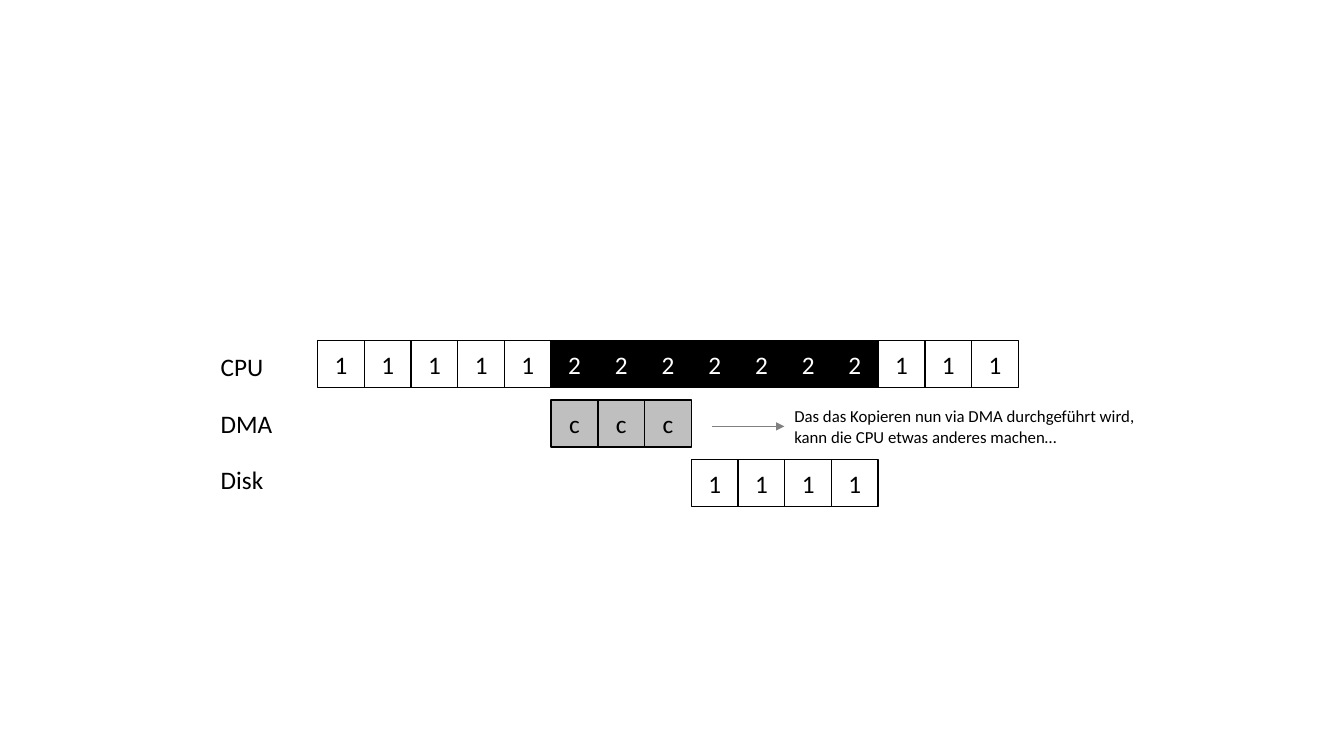
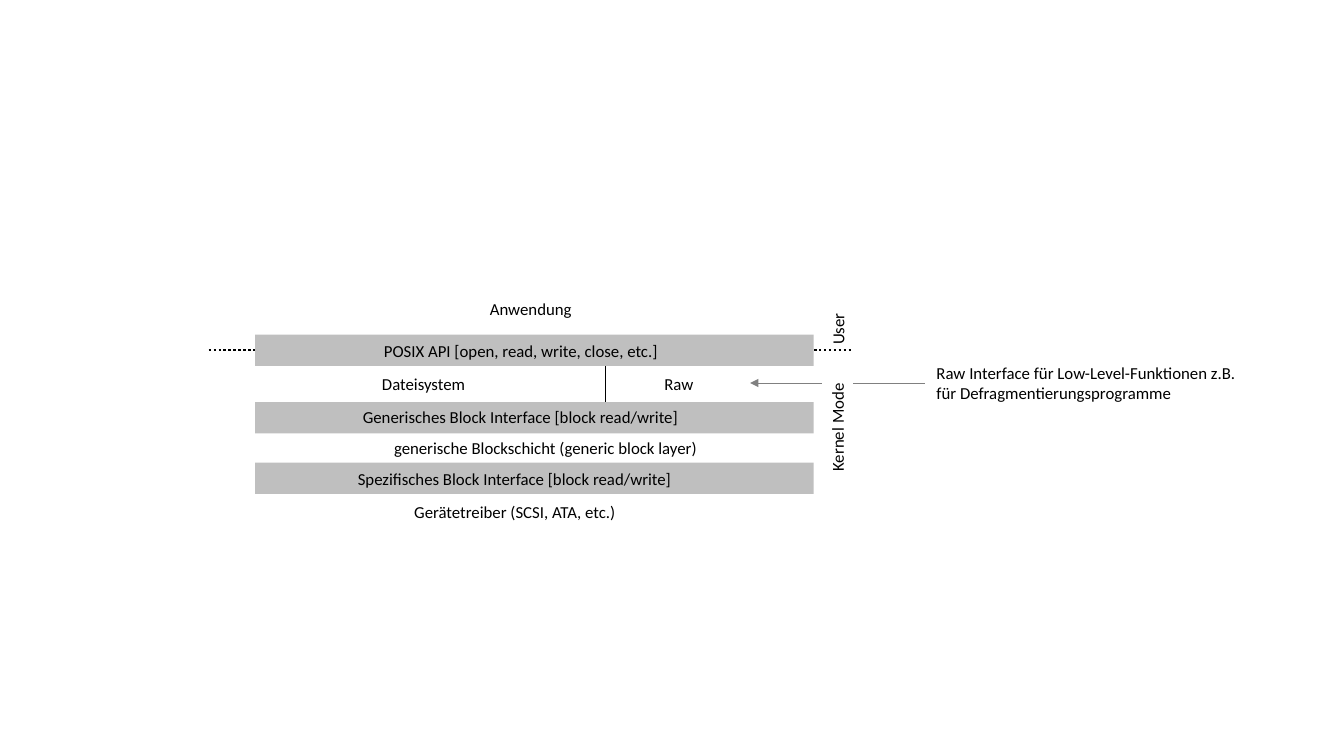
import lxml.etree
import pptx
import pptx.dml.color
import pptx.enum.dml
import pptx.enum.shapes
import pptx.enum.text
import pptx.oxml.ns
import pptx.util

Inches = pptx.util.Inches
rgb = pptx.dml.color.RGBColor.from_string
RECTANGLE = pptx.enum.shapes.MSO_SHAPE.RECTANGLE
BLACK, WHITE, SILVER, GRAY = "000000", "FFFFFF", "BFBFBF", "808080"
FONT = "Calibri"


def write(text, shape=None, slide=None, box=None, size=12, color=BLACK,
          wrap=False, rotation=0):
    """Write centred text in a shape, or left-aligned text in a new box."""
    label = shape or slide.shapes.add_textbox(*map(Inches, box))
    label.rotation = rotation
    frame = label.text_frame
    frame.word_wrap = wrap
    paragraph = frame.paragraphs[0]
    if shape:
        frame.vertical_anchor = pptx.enum.text.MSO_ANCHOR.MIDDLE
        paragraph.alignment = pptx.enum.text.PP_ALIGN.CENTER
    else:
        frame.auto_size = pptx.enum.text.MSO_AUTO_SIZE.SHAPE_TO_FIT_TEXT
    run = paragraph.add_run()
    run.text = text
    run.font.name = FONT
    run.font.size = pptx.util.Pt(size)
    run.font.color.rgb = rgb(color)


def connect(slide, start, end, color=BLACK, width=0.5, dash=None, arrow=False):
    """Draw a straight line, with an arrowhead at its end if wanted."""
    connector = slide.shapes.add_connector(
        pptx.enum.shapes.MSO_CONNECTOR.STRAIGHT, *map(Inches, start + end))
    connector.line.color.rgb = rgb(color)
    connector.line.width = pptx.util.Pt(width)
    if dash:
        connector.line.dash_style = dash
    if arrow:
        lxml.etree.SubElement(connector.line._get_or_add_ln(),
                              pptx.oxml.ns.qn("a:tailEnd"), type="triangle")
    lxml.etree.SubElement(connector._element.spPr, pptx.oxml.ns.qn("a:effectLst"))


deck = pptx.Presentation()
deck.slide_width, deck.slide_height = Inches(13.33), Inches(7.5)
blank = deck.slide_layouts[6]

# Slide 1: timeline of CPU, DMA and disk
timeline = deck.slides.add_slide(blank)
timeline_left, timeline_top, row_pitch = 3.15, 3.38, 0.59
slot = 6.95 / 15
slot_colors = {"1": (WHITE, BLACK), "2": (BLACK, WHITE), "c": (SILVER, BLACK)}
devices = [("CPU", 0, "111112222222111"), ("DMA", 5, "ccc"), ("Disk", 8, "1111")]

for row, (device, first_slot, tasks) in enumerate(devices):
    write(device, slide=timeline, box=(2.09, 3.44 + 0.56 * row, 0.75, 0.4), size=18)
    for column, task in enumerate(tasks, first_slot):
        fill, ink = slot_colors[task]
        cell = timeline.shapes.add_shape(
            RECTANGLE, Inches(timeline_left + column * slot),
            Inches(timeline_top + row * row_pitch), Inches(slot), Inches(slot))
        cell.shadow.inherit = False
        cell.fill.solid()
        cell.fill.fore_color.rgb = rgb(fill)
        cell.line.color.rgb = rgb(BLACK)
        cell.line.width = pptx.util.Pt(1)
        write(task, shape=cell, size=18, color=ink, wrap=True)

# Remark on the DMA row
connect(timeline, (7.06, 4.23), (7.78, 4.23), color=GRAY, arrow=True)
write("Das das Kopieren nun via DMA durchgeführt wird, "
      "kann die CPU etwas anderes machen…",
      slide=timeline, box=(7.78, 3.98, 3.76, 0.5), wrap=True)

# Slide 2: layers of the block device stack
stack = deck.slides.add_slide(blank)

# Dividers between file system and raw access, and between user and kernel
connect(stack, (6, 3.52), (6, 3.99))
connect(stack, (2.07, 3.47), (8.46, 3.47), width=1.75,
        dash=pptx.enum.dml.MSO_LINE.ROUND_DOT)

# Interface bands
for band_top in (3.32, 3.99, 4.59):
    band = stack.shapes.add_shape(
        RECTANGLE, Inches(2.53), Inches(band_top), Inches(5.54), Inches(0.31))
    band.shadow.inherit = False
    band.fill.solid()
    band.fill.fore_color.rgb = rgb(SILVER)
    band.line.fill.background()

# Modes, written upwards
for mode, left, top, width in [("User", 8.03, 3.09, 0.56),
                               ("Kernel Mode", 7.73, 4.05, 1.15)]:
    write(mode, slide=stack, box=(left, top, width, 0.3), rotation=270)

# Layer names
layers = [
    ("Anwendung", 4.76, 2.91, 1.09),
    ("POSIX API [open, read, write, close, etc.]", 3.71, 3.33, 3.27),
    ("Dateisystem", 3.69, 3.66, 1.13),
    ("Raw", 6.49, 3.66, 0.54),
    ("Generisches Block Interface [block read/write]", 3.5, 3.99, 3.62),
    ("generische Blockschicht (generic block layer)", 3.81, 4.29, 3.56),
    ("Spezifisches Block Interface [block read/write]", 3.45, 4.6, 3.62),
    ("Gerätetreiber (SCSI, ATA, etc.)", 4.01, 4.93, 2.5),
]
for layer, left, top, width in layers:
    write(layer, slide=stack, box=(left, top, width, 0.3))

# Remark on raw access, its arrow interrupted by the mode labels
connect(stack, (8.15, 3.8), (7.44, 3.8), color=GRAY, arrow=True)
connect(stack, (9.17, 3.8), (8.46, 3.8), color=GRAY)
write("Raw Interface für Low-Level-Funktionen z.B. für Defragmentierungsprogramme",
      slide=stack, box=(9.19, 3.55, 3.27, 0.5), wrap=True)

deck.save("out.pptx")
